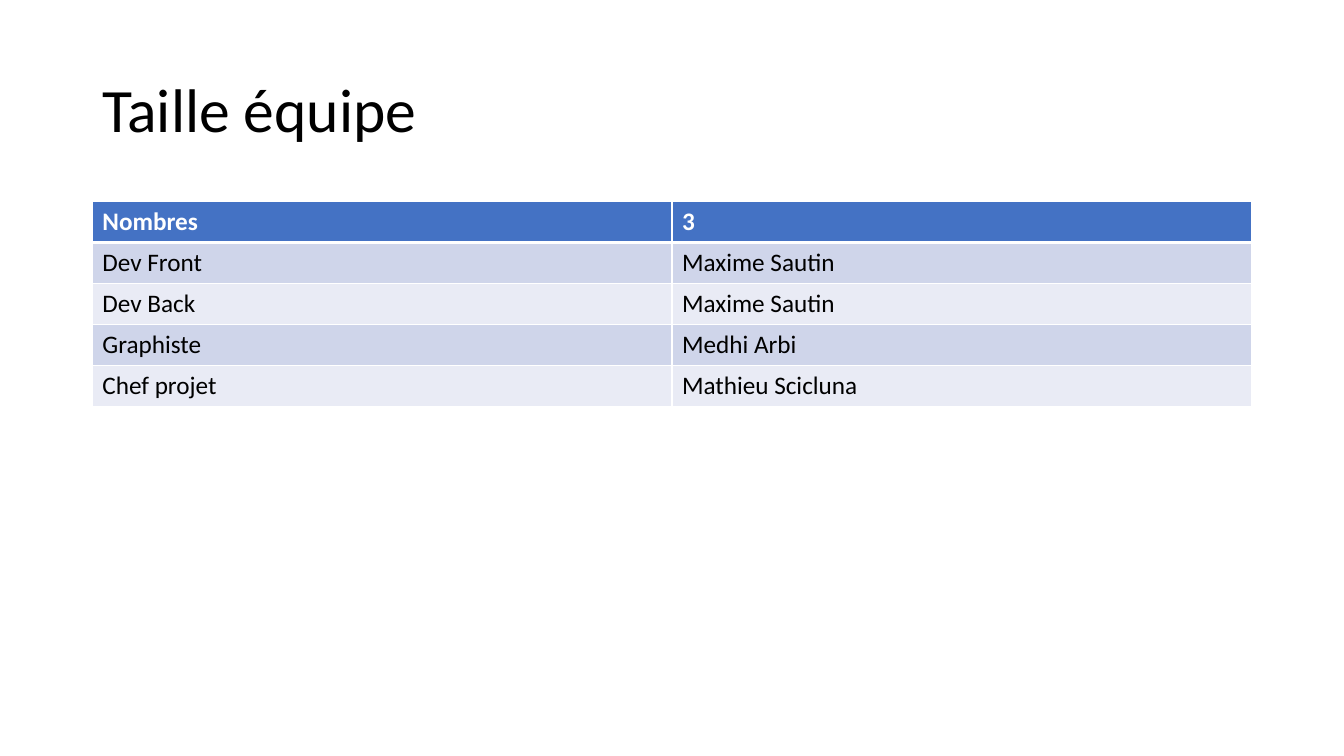
from dataclasses import dataclass

from lxml import etree
from pptx import Presentation
from pptx import util as u
from pptx.dml.color import RGBColor
from pptx.enum import text
from pptx.oxml import ns

PX = 9525  # EMU per px, 96 px to the inch
FONT = "Calibri"
COLORS = {
    "ink": "000000",
    "white": "FFFFFF",
    "header": "4472C4",
    "odd": "CFD5EA",
    "even": "E9EBF5",
}
LEFT, WIDTH = 88, 1104
TITLE_TOP, TITLE_HEIGHT = 38, 139
TABLE_TOP, ROW_HEIGHT = 192, 39
THIN, THICK = 1, 3  # border widths in points


@dataclass(frozen=True)
class TeamRow:
    role: str
    member: str


TEAM = [
    TeamRow("Nombres", "3"),
    TeamRow("Dev Front", "Maxime Sautin"),
    TeamRow("Dev Back", "Maxime Sautin"),
    TeamRow("Graphiste", "Medhi Arbi"),
    TeamRow("Chef projet", "Mathieu Scicluna"),
]


def px(length: int) -> u.Emu:
    return u.Emu(length * PX)


def write(frame, words: str, *, size: int = 18, color: str = "ink",
          bold: bool = False, spacing: float = 1.0) -> None:
    para = frame.paragraphs[0]
    para.line_spacing = spacing
    span = para.add_run()
    span.text = words
    span.font.name = FONT
    span.font.size = u.Pt(size)
    span.font.bold = bold
    span.font.color.rgb = RGBColor.from_string(COLORS[color])


def set_borders(cell, top: int, bottom: int) -> None:
    """Give a cell white borders; they must come before its fill."""
    properties = cell._tc.get_or_add_tcPr()
    widths = {"lnL": THIN, "lnR": THIN, "lnT": top, "lnB": bottom}
    for index, (side, width) in enumerate(widths.items()):
        line = etree.Element(ns.qn(f"a:{side}"), w=str(u.Pt(width)))
        fill = etree.SubElement(line, ns.qn("a:solidFill"))
        etree.SubElement(fill, ns.qn("a:srgbClr"), val=COLORS["white"])
        properties.insert(index, line)


def add_title(page, words: str) -> None:
    box = page.shapes.add_textbox(px(LEFT), px(TITLE_TOP), px(WIDTH), px(TITLE_HEIGHT))
    box.text_frame.word_wrap = True
    box.text_frame.vertical_anchor = text.MSO_ANCHOR.MIDDLE
    write(box.text_frame, words, size=44, spacing=0.9)


def add_team_table(page, team: list[TeamRow]) -> None:
    table = page.shapes.add_table(
        len(team), 2, px(LEFT), px(TABLE_TOP), px(WIDTH), px(ROW_HEIGHT * len(team))
    ).table
    for number, entry in enumerate(team):
        is_header = number == 0
        band = "header" if is_header else ("odd" if number % 2 else "even")
        for column, words in enumerate((entry.role, entry.member)):
            cell = table.cell(number, column)
            cell.fill.solid()
            cell.fill.fore_color.rgb = RGBColor.from_string(COLORS[band])
            set_borders(cell, top=THICK if number == 1 else THIN,
                        bottom=THICK if is_header else THIN)
            write(cell.text_frame, words, bold=is_header,
                  color="white" if is_header else "ink")


def main() -> None:
    deck = Presentation()
    deck.slide_width, deck.slide_height = px(1280), px(720)
    page = deck.slides.add_slide(deck.slide_layouts[6])
    add_title(page, "Taille équipe")
    add_team_table(page, TEAM)
    deck.save("out.pptx")


if __name__ == "__main__":
    main()
